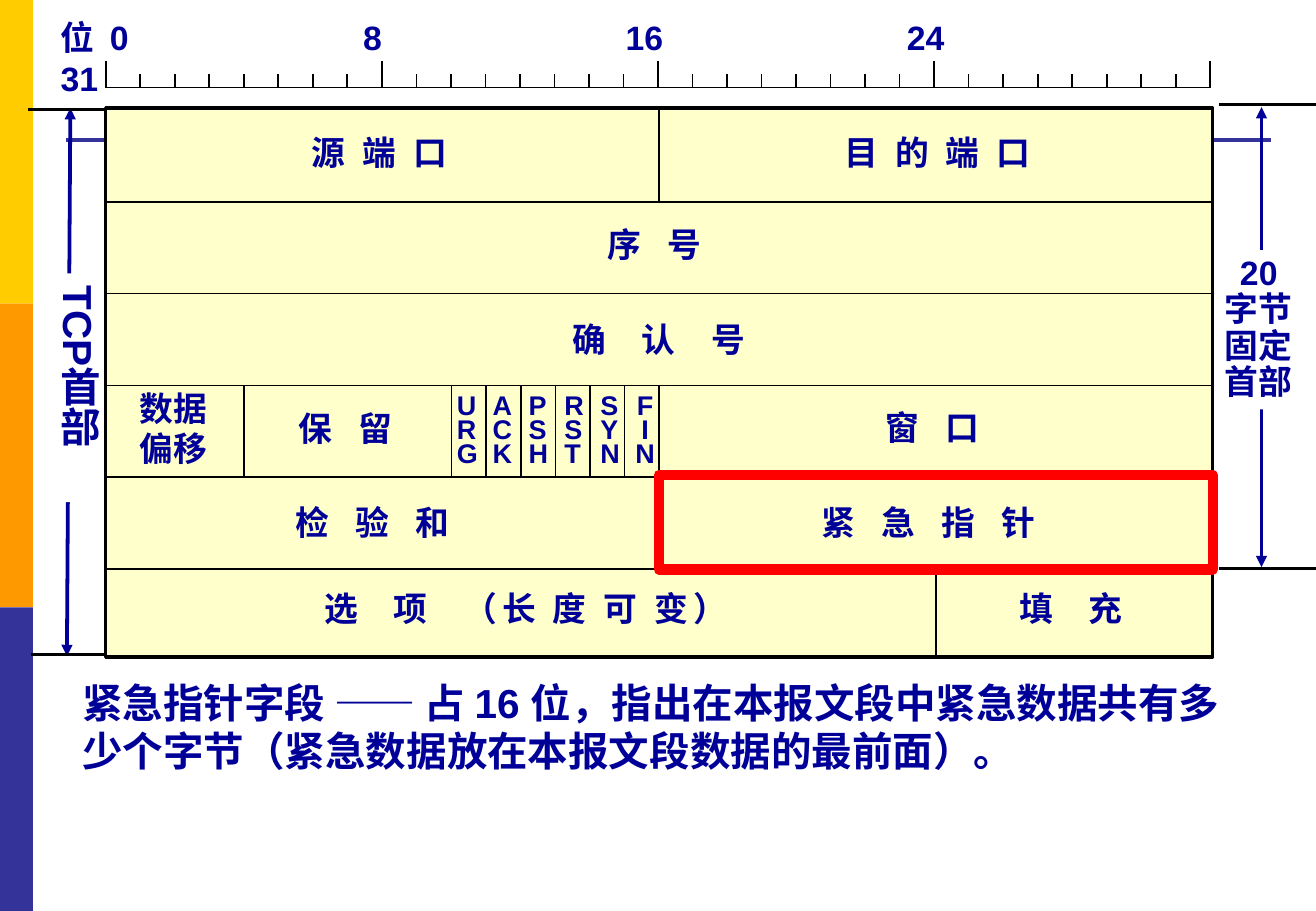
from dataclasses import dataclass

import lxml.etree
import pptx
import pptx.dml.color
import pptx.enum.shapes
import pptx.enum.text
import pptx.oxml.ns
import pptx.util

Cm = pptx.util.Cm
Align = pptx.enum.text.PP_ALIGN
Anchor = pptx.enum.text.MSO_ANCHOR

COLORS = {
    "yellow": "FFCC00", "orange": "FF9900", "indigo": "333399", "text": "000099",
    "cell": "FFFFCC", "white": "FFFFFF", "black": "000000", "red": "FF0000",
}
SPACE_WIDTH = 2.78  # points added to each character per extra unit of gap

# Header grid, in cm
LEFT, TOP, WIDTH, HEIGHT = 2.21, 2.26, 23.14, 11.48
BIT = WIDTH / 32
ROW_START, ROW_HEIGHT = 2.3, 1.92
DIVIDERS = {0: [16], 3: [4, *range(10, 17)], 4: [16], 5: [24]}

# Bit ruler, in cm
RULER_RIGHT, RULER_Y = 25.3, 1.83
RULER_TABS = (1.03, 6.32, 11.81, 17.69)


@dataclass
class Box:
    left: float
    top: float
    width: float
    height: float
    fill: str | None = None
    line: str | None = None
    weight: float = 0


@dataclass
class Line:
    x1: float
    y1: float
    x2: float
    y2: float
    color: str = "black"
    weight: float = 1
    arrows: bool = False


@dataclass
class Label:
    """Each line is a list of (text, gap) pieces; gap widens the letters."""
    left: float
    top: float
    width: float
    lines: list[list[tuple[str, int]]]
    height: float = 1.09
    size: float = 20
    align: Align = Align.LEFT
    spacing: float = 1.0
    fill: str | None = None


def plain(*texts: str) -> list[list[tuple[str, int]]]:
    return [[(text, 0)] for text in texts]


def rgb(name: str) -> pptx.dml.color.RGBColor:
    return pptx.dml.color.RGBColor.from_string(COLORS[name])


def add_xml(parent, tag: str, **attributes: str):
    element = lxml.etree.SubElement(parent, pptx.oxml.ns.qn(tag))
    for name, value in attributes.items():
        element.set(name, value)
    return element


def style_font(font, size: float) -> None:
    formats = {"name": "Arial", "size": pptx.util.Pt(size), "bold": True}
    for name, value in formats.items():
        setattr(font, name, value)
    font.color.rgb = rgb("text")


def draw_box(slide, box: Box) -> None:
    shape = slide.shapes.add_shape(
        pptx.enum.shapes.MSO_SHAPE.RECTANGLE,
        Cm(box.left), Cm(box.top), Cm(box.width), Cm(box.height))
    shape.shadow.inherit = False
    if box.fill:
        shape.fill.solid()
        shape.fill.fore_color.rgb = rgb(box.fill)
    else:
        shape.fill.background()
    if box.line:
        shape.line.color.rgb = rgb(box.line)
        shape.line.width = pptx.util.Pt(box.weight)
    else:
        shape.line.fill.background()


def draw_line(slide, line: Line) -> None:
    connector = slide.shapes.add_connector(
        pptx.enum.shapes.MSO_CONNECTOR.STRAIGHT,
        Cm(line.x1), Cm(line.y1), Cm(line.x2), Cm(line.y2))
    connector.line.color.rgb = rgb(line.color)
    connector.line.width = pptx.util.Pt(line.weight)
    if line.arrows:
        for end in ("a:headEnd", "a:tailEnd"):
            add_xml(connector.line._get_or_add_ln(), end, type="triangle")
    add_xml(connector._element.spPr, "a:effectLst")


def draw_label(slide, label: Label):
    shape = slide.shapes.add_textbox(
        Cm(label.left), Cm(label.top), Cm(label.width), Cm(label.height))
    if label.fill:
        shape.fill.solid()
        shape.fill.fore_color.rgb = rgb(label.fill)
    frame = shape.text_frame
    formats = {
        "word_wrap": True, "margin_right": 0,
        "margin_left": Cm(0.25 if label.align == Align.LEFT else 0),
    }
    for name, value in formats.items():
        setattr(frame, name, value)
    for index, pieces in enumerate(label.lines):
        paragraph = frame.add_paragraph() if index else frame.paragraphs[0]
        paragraph.alignment = label.align
        paragraph.line_spacing = label.spacing
        for text, gap in pieces:
            run = paragraph.add_run()
            run.text = text
            style_font(run.font, label.size)
            if gap:
                run._r.get_or_add_rPr().set("spc", str(round(gap * SPACE_WIDTH * 100)))
    return shape


def draw_caption(slide) -> None:
    title = slide.shapes.title
    bounds = {"left": 1.47, "top": 14.02, "width": 24.84, "height": 2.31}
    for name, value in bounds.items():
        setattr(title, name, Cm(value))
    frame = title.text_frame
    frame.text = ("紧急指针字段 —— 占 16 位，指出在本报文段中紧急数据共有多"
                  "少个字节（紧急数据放在本报文段数据的最前面）。")
    frame.auto_size = pptx.enum.text.MSO_AUTO_SIZE.NONE
    frame.vertical_anchor = Anchor.BOTTOM
    frame.paragraphs[0].alignment = Align.LEFT
    style_font(frame.paragraphs[0].runs[0].font, 24)


def draw_ruler(slide) -> None:
    draw_line(slide, Line(LEFT, RULER_Y, RULER_RIGHT, RULER_Y))
    for bit in range(33):
        x = LEFT + bit * (RULER_RIGHT - LEFT) / 32
        draw_line(slide, Line(x, 1.55 if bit % 8 else 1.27, x, RULER_Y))
    label = draw_label(slide, Label(1.02, 0.23, 24.77, plain("", "31"), height=1.9))
    paragraph = label.text_frame.paragraphs[0]
    tabs = add_xml(paragraph._p.get_or_add_pPr(), "a:tabLst")
    for position in RULER_TABS:
        add_xml(tabs, "a:tab", pos=str(Cm(position)), algn="l")
    paragraph.runs[0].text = "位\t0\t8\t16\t24"


def draw_header(slide) -> None:
    draw_box(slide, Box(LEFT, TOP, WIDTH, HEIGHT, "cell", "black", 2))
    for row in range(1, 6):
        y = ROW_START + row * ROW_HEIGHT
        draw_line(slide, Line(LEFT, y, LEFT + WIDTH, y))
    for row, bits in DIVIDERS.items():
        y = ROW_START + row * ROW_HEIGHT
        for bit in bits:
            x = LEFT + bit * BIT
            draw_line(slide, Line(x, y, x, min(y + ROW_HEIGHT, TOP + HEIGHT)))


def main() -> None:
    presentation = pptx.Presentation()
    presentation.slide_width, presentation.slide_height = Cm(27.51), Cm(19.05)
    slide = presentation.slides.add_slide(presentation.slide_layouts[5])

    # Side bands and rule
    for index, color in enumerate(("yellow", "orange", "indigo")):
        draw_box(slide, Box(0, index * 6.35, 0.69, 6.35, color))
    draw_line(slide, Line(1.37, 2.92, 26.57, 2.92, "indigo", 2.25))
    draw_caption(slide)

    # Length arrows and their labels
    draw_line(slide, Line(1.47, 2.26, 1.4, 13.72, "text", 2.25, True))
    draw_line(slide, Line(26.37, 2.24, 26.37, 11.86, "text", 2.25, True))
    total = draw_label(slide, Label(0.76, 5.72, 1.42, plain("TCP首部"), 4.78, 24,
                                    spacing=0.9, fill="white"))
    total.text_frame.vertical_anchor = Anchor.MIDDLE
    total.text_frame._txBody.bodyPr.set("vert", "eaVert")
    draw_label(slide, Label(25.35, 5.23, 1.93, plain("20", "字节", "固定", "首部"), 3.33,
                            align=Align.CENTER, spacing=0.9, fill="white"))

    draw_header(slide)
    draw_ruler(slide)

    # Field names
    fields = [
        Label(6.27, 2.64, 3.8, [[("源 端 口", 1)]]),
        Label(17.4, 2.64, 4.9, [[("目 的 端 口", 1)]]),
        Label(12.45, 4.55, 4.17, [[("序 号", 2)]]),
        Label(11.71, 6.55, 5.54, [[("确 认 号", 3)]]),
        Label(2.67, 7.98, 1.93, plain("数据", "偏移"), 1.96),
        Label(5.99, 8.41, 2.8, [[("保 留", 2)]]),
        Label(18.26, 8.38, 2.8, [[("窗 口", 2)]]),
        Label(5.92, 10.36, 4.1, [[("检 验 和", 2)]]),
        Label(16.92, 10.36, 5.5, [[("紧 急 指 针", 2)]]),
        Label(6.53, 12.17, 9.63, [[("选 项 ", 3), ("（长 度 可 变）", 1)]]),
        Label(21.06, 12.17, 3.78, [[("填 充", 3)]]),
        Label(13.03, 8.15, 0.91, plain(*"FIN"), 1.78, 16, Align.CENTER, 0.75),
    ]
    for index, flag in enumerate(("URG", "ACK", "PSH", "RST", "SYN")):
        fields.append(Label(9.3 + index * 0.75, 8.15, 0.97, plain(*flag), 1.78, 16,
                            spacing=0.75))
    for field in fields:
        draw_label(slide, field)

    # Extension lines and highlight
    for x1, x2, y in ((25.48, 27.51, 2.18), (25.48, 27.51, 11.89),
                      (0.58, 2.18, 2.29), (0.64, 2.24, 13.69)):
        draw_line(slide, Line(x1, y, x2, y, weight=1.5))
    draw_box(slide, Box(13.77, 9.93, 11.58, 1.98, None, "red", 6))

    presentation.save("out.pptx")


if __name__ == "__main__":
    main()
